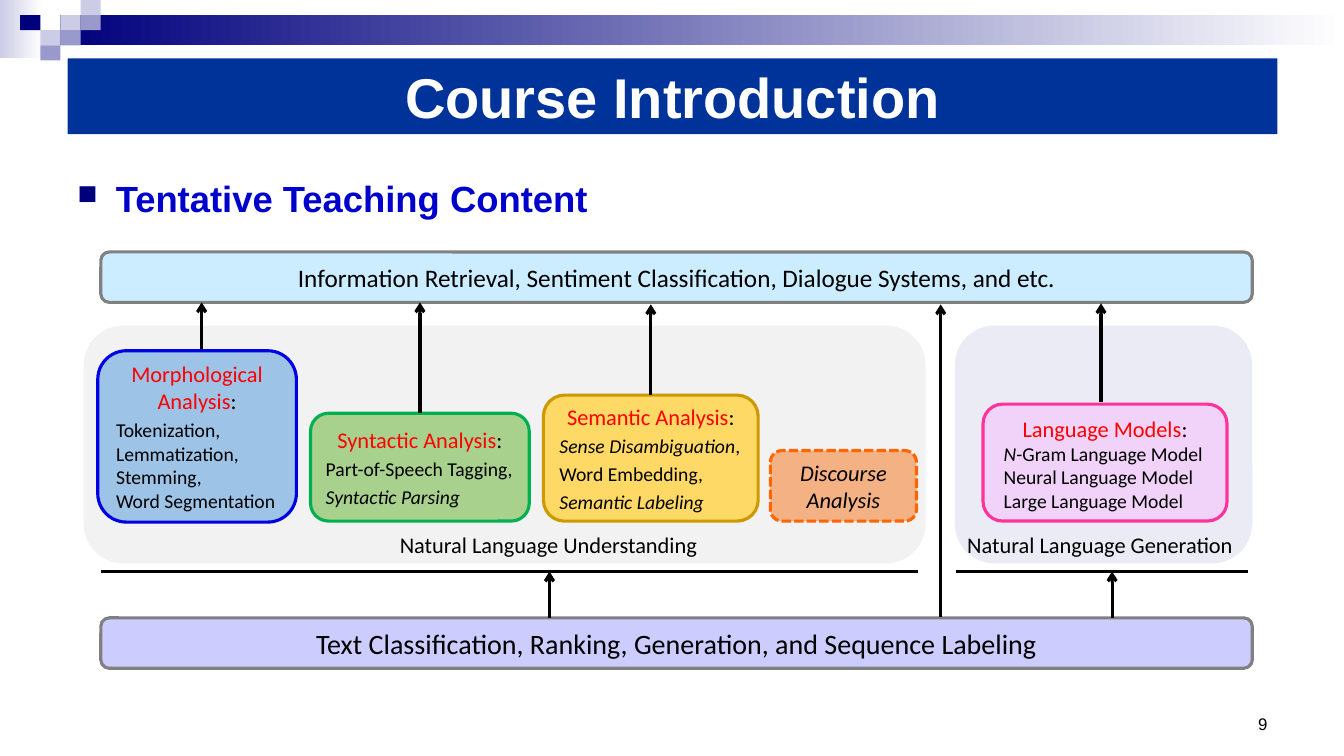
from lxml import etree
from pptx import Presentation
from pptx.dml.color import RGBColor
from pptx.enum.dml import MSO_LINE
from pptx.enum.shapes import MSO_CONNECTOR, MSO_SHAPE
from pptx.enum.text import MSO_ANCHOR, PP_ALIGN
from pptx.oxml.ns import qn
from pptx.util import Pt

PX = 9144  # 100 px to the inch
RECT, ROUND = MSO_SHAPE.RECTANGLE, MSO_SHAPE.ROUNDED_RECTANGLE
STRAIGHT, DASH = MSO_CONNECTOR.STRAIGHT, MSO_LINE.SQUARE_DOT
LEFT, CENTER, RIGHT = PP_ALIGN.LEFT, PP_ALIGN.CENTER, PP_ALIGN.RIGHT
TOP, MIDDLE, BOTTOM = MSO_ANCHOR.TOP, MSO_ANCHOR.MIDDLE, MSO_ANCHOR.BOTTOM

BLACK = RGBColor(0, 0, 0)
WHITE = RGBColor(255, 255, 255)
RED = RGBColor(255, 0, 0)
NAVY = RGBColor(0x00, 0x00, 0x7D)
PALE = RGBColor(0xCC, 0xCC, 0xE6)
MID = RGBColor(0x99, 0x99, 0xCC)
TITLE = RGBColor(0x00, 0x33, 0x99)
HEAD = RGBColor(0x00, 0x00, 0xCC)
GRAY = RGBColor(0x80, 0x80, 0x80)
MIST = RGBColor(0xEB, 0xEB, 0xF5)
SMOKE = RGBColor(0xF2, 0xF2, 0xF2)
LILAC = RGBColor(0xCC, 0xCC, 0xFF)
SKY = RGBColor(0xCC, 0xEC, 0xFF)
BLUE, BLUE_EDGE = RGBColor(0x9D, 0xC3, 0xE6), RGBColor(0x00, 0x00, 0xE4)
GREEN, GREEN_EDGE = RGBColor(0xA9, 0xD1, 0x8E), RGBColor(0x00, 0xB0, 0x50)
GOLD, GOLD_EDGE = RGBColor(0xFF, 0xD9, 0x66), RGBColor(0xCC, 0x99, 0x00)
PEACH, PEACH_EDGE = RGBColor(0xF4, 0xB1, 0x83), RGBColor(0xFF, 0x66, 0x00)
PINK, PINK_EDGE = RGBColor(0xFF, 0x99, 0xFF), RGBColor(0xFF, 0x33, 0x99)

# Places are (left, top, width, height) in px.
FADES = [((0, 0, 42, 58), PALE), ((60, 15, 1273, 30), NAVY)]
TILES = [
    (60, 15, PALE), (80, 0, PALE), (80, 15, MID), (40, 30, PALE),
    (20, 15, NAVY), (60, 30, MID), (40, 45, MID),
]
PANELS = [((947, 323, 295, 236), MIST), ((83, 323, 835, 236), SMOKE)]

# A stage is name: (place, fill, edge, heading, gap before lines in pt, lines).
# A line is a list of (text, italic) runs.
STAGES = {
    "morph": ((97, 348, 197, 170), BLUE, BLUE_EDGE, "Morphological Analysis", (3, 0, 0), [
        [("Tokenization, Lemmatization,", False)],
        [("Stemming,", False)],
        [("Word Segmentation", False)]]),
    "syntax": ((308, 410, 217, 107), GREEN, GREEN_EDGE, "Syntactic Analysis", (3, 3), [
        [("Part-of-Speech Tagging,", False)],
        [("Syntactic Parsing", True)]]),
    "sense": ((539, 392, 213, 125), GOLD, GOLD_EDGE, "Semantic Analysis", (3, 3, 3), [
        [("Sense Disambiguation", True), (",", False)],
        [("Word Embedding,", False)],
        [("Semantic Labeling", True)]]),
    "model": ((975, 401, 242, 116), PINK, PINK_EDGE, "Language Models", (0, 0, 0), [
        [("N", True), ("-Gram Language Model", False)],
        [("Neural Language Model", False)],
        [("Large Language Model", False)]]),
}
TALK = ((764, 447, 145, 70), "Discourse Analysis")
LABELS = [
    ((372, 522, 344, 37), "Natural Language Understanding"),
    ((932, 522, 318, 37), "Natural Language Generation"),
]
BARS = [
    ((100, 613, 1142, 50), LILAC, 20,
     "Text Classification, Ranking, Generation, and Sequence Labeling"),
    ((100, 250, 1142, 50), SKY, 18,
     "Information Retrieval, Sentiment Classification, Dialogue Systems, and etc."),
]
RULES = [(100, 910), (948, 1238)]  # left and right end
RULE_Y = 567
# An arrow is (x, from y, to y, stage it leaves at the middle of its top).
ARROWS = [
    (545, 613, RULE_Y, None), (1103, 613, RULE_Y, None), (1092, 399, 301, None),
    (200, 346, 300, None), (417, 410, 300, "syntax"), (645, 392, 302, "sense"),
    (933, 612, 302, None),
]

deck = Presentation()
deck.slide_width, deck.slide_height = 1333 * PX, 750 * PX
slide = deck.slides.add_slide(deck.slide_layouts[6])
shapes = slide.shapes


def scale(place):
    return [n * PX for n in place]


def add_box(kind, place, fill, edge=None):
    box = shapes.add_shape(kind, *scale(place))
    box.shadow.inherit = False
    box.fill.solid()
    box.fill.fore_color.rgb = fill
    if edge is None:
        box.line.fill.background()
    else:
        box.line.color.rgb = edge
        box.line.width = Pt(2.25)
    return box


def add_para(box, runs, size, align=LEFT, before=0, font="Calibri", bold=False):
    """Add a paragraph of (text, colour, italic) runs."""
    frame = box.text_frame
    frame.word_wrap = True
    para = frame.paragraphs[0]
    if para.runs:
        para = frame.add_paragraph()
    para.alignment = align
    para.space_before = Pt(before)
    for text, color, slant in runs:
        run = para.add_run()
        run.text = text
        run.font.name, run.font.size = font, Pt(size)
        run.font.bold, run.font.italic = bold, slant
        run.font.color.rgb = color
    return para


def add_text(place, anchor=TOP):
    box = shapes.add_textbox(*scale(place))
    box.text_frame.vertical_anchor = anchor
    return box


def add_line(x1, y1, x2, y2, width):
    line = shapes.add_connector(STRAIGHT, *scale((x1, y1, x2, y2)))
    line.line.color.rgb = BLACK
    line.line.width = Pt(width)
    etree.SubElement(line._element.spPr, qn("a:effectLst"))
    return line


def add_stage(place, fill, edge, title, gaps, lines):
    box = add_box(ROUND, place, fill, edge)
    box.text_frame.vertical_anchor = MIDDLE
    add_para(box, [(title, RED, False), (":", BLACK, False)], 16, CENTER)
    for gap, line in zip(gaps, lines):
        add_para(box, [(text, BLACK, slant) for text, slant in line], 14, before=gap)
    return box


for place, start in FADES:
    fade = add_box(RECT, place, start).fill
    fade.gradient()
    fade.gradient_angle = 0
    for stop, color, spot in zip(fade.gradient_stops, (start, WHITE), (0, 1)):
        stop.color.rgb, stop.position = color, spot
for x, y, color in TILES:
    add_box(RECT, (x, y, 20, 15), color)
for place, color in PANELS:
    add_box(ROUND, place, color)

number = add_text((1111, 683, 156, 50), BOTTOM)
add_para(number, [("9", BLACK, False)], 12, RIGHT, font="Arial")

topic = add_text((67, 170, 1200, 522))
para = add_para(topic, [("Tentative Teaching Content", HEAD, False)], 26,
                before=6, font="Arial", bold=True)
props = para._p.get_or_add_pPr()
props.set("marL", str(38 * PX))
props.set("indent", str(-38 * PX))
tint = etree.SubElement(props, qn("a:buClr"))
etree.SubElement(tint, qn("a:srgbClr"), val=str(NAVY))
etree.SubElement(props, qn("a:buSzPct"), val="75000")
etree.SubElement(props, qn("a:buChar"), char="■")

title = add_box(RECT, (67, 58, 1200, 75), TITLE)
title.text_frame.vertical_anchor = MIDDLE
add_para(title, [("Course Introduction", WHITE, False)], 40, CENTER,
         font="Arial", bold=True)

boxes = {name: add_stage(*stage) for name, stage in STAGES.items()}
model = boxes["model"]
model.text_frame.vertical_anchor = TOP
for para in model.text_frame.paragraphs[1:]:
    para._p.get_or_add_pPr().set("marL", str(5 * PX))
shade = model._element.spPr.find(qn("a:solidFill"))[0]
etree.SubElement(shade, qn("a:alpha"), val="30000")

place, text = TALK
talk = add_box(ROUND, place, PEACH, PEACH_EDGE)
talk.line.dash_style = DASH
talk.text_frame.vertical_anchor = MIDDLE
add_para(talk, [(text, BLACK, True)], 16, CENTER)

for left, right in RULES:
    add_line(left, RULE_Y, right, RULE_Y, 1.5)
for place, text in LABELS:
    add_para(add_text(place), [(text, BLACK, False)], 16, CENTER)
for place, fill, size, text in BARS:
    bar = add_box(ROUND, place, fill, GRAY)
    bar.text_frame.vertical_anchor = MIDDLE
    add_para(bar, [(text, BLACK, False)], size, CENTER)
for x, start, end, name in ARROWS:
    arrow = add_line(x, start, x, end, 2.25)
    if name:
        arrow.begin_connect(boxes[name], 0)
        arrow.end_x = arrow.begin_x
    etree.SubElement(arrow.line._get_or_add_ln(), qn("a:tailEnd"), type="arrow")

deck.save("out.pptx")
